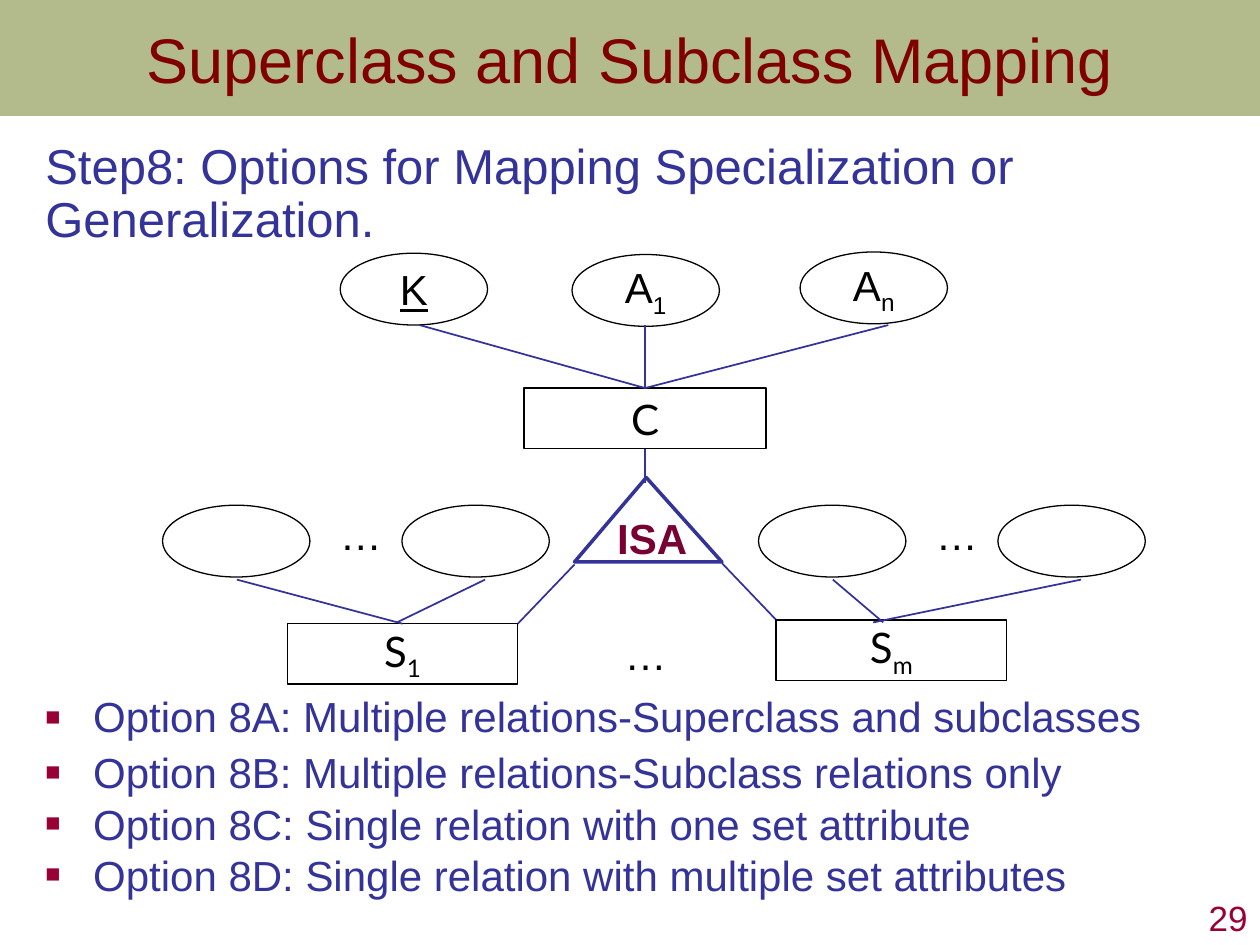
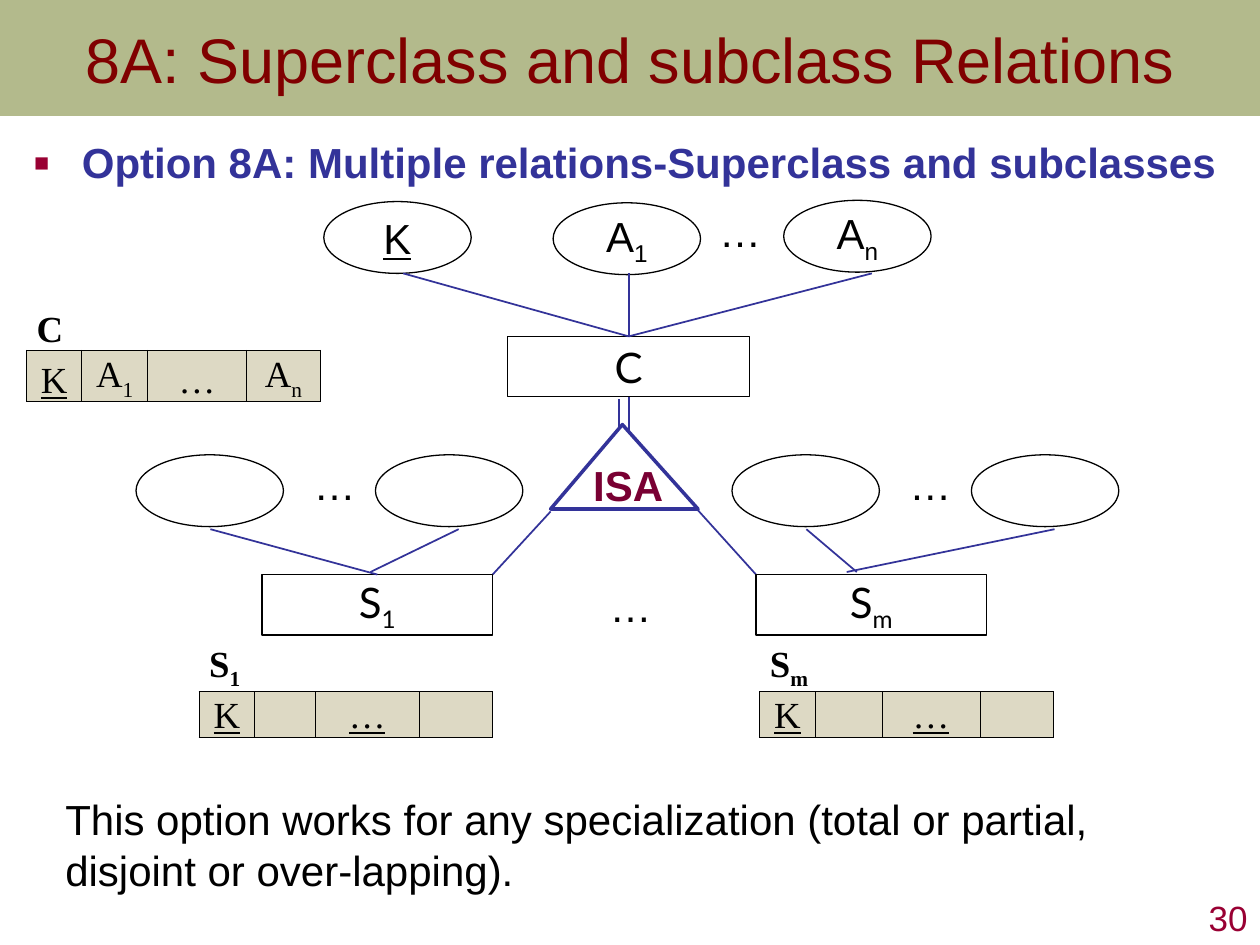
import dataclasses

import lxml.etree
import pptx
import pptx.dml.color
import pptx.enum.shapes
import pptx.enum.text
import pptx.oxml.ns
import pptx.util

Inches = pptx.util.Inches
Pt = pptx.util.Pt
qn = pptx.oxml.ns.qn
Align = pptx.enum.text.PP_ALIGN
Anchor = pptx.enum.text.MSO_ANCHOR
Preset = pptx.enum.shapes.MSO_SHAPE


@dataclasses.dataclass(frozen=True)
class Theme:
    band: str = "76822E"
    band_alpha: int = 55
    title: str = "800000"
    body: str = "333399"
    accent: str = "990033"
    isa: str = "790033"
    ink: str = "000000"
    header_fill: str = "FFFFFF"
    cell_fill: str = "DDD9C4"
    font: str = "Arial"
    box_font: str = "Lato"
    table_font: str = "Times New Roman"
    title_size: int = 36
    lead_size: int = 28
    text_size: int = 24
    table_size: int = 21
    number_size: int = 20


@dataclasses.dataclass(frozen=True)
class DiagramLayout:
    """Left and top of each part of the class hierarchy."""
    superclass: tuple
    middle_attribute: float
    isa: tuple
    first_subclass: tuple
    first_attributes: tuple
    last_subclass: tuple
    last_attributes: tuple
    subclass_dots: tuple


THEME = Theme()
OVAL = (1.17, 0.57)
BOX_HEIGHT = 0.48
SUPERCLASS_WIDTH = 1.92
SUBCLASS_WIDTH = 1.83

OPTIONS_DIAGRAM = DiagramLayout(
    superclass=(4.16, 3.08), middle_attribute=4.54, isa=(4.56, 3.79),
    first_subclass=(2.28, 4.95), first_attributes=(1.29, 4.01),
    last_subclass=(6.16, 4.92), last_attributes=(6.02, 4.01),
    subclass_dots=(4.86, 4.94))
RELATIONS_DIAGRAM = DiagramLayout(
    superclass=(4.03, 2.67), middle_attribute=4.39, isa=(4.37, 3.37),
    first_subclass=(2.08, 4.56), first_attributes=(1.08, 3.61),
    last_subclass=(6, 4.56), last_attributes=(5.81, 3.61),
    subclass_dots=(4.74, 4.56))


def rgb(value):
    return pptx.dml.color.RGBColor.from_string(value)


def place(shape, left, top, width, height):
    shape.left, shape.top = Inches(left), Inches(top)
    shape.width, shape.height = Inches(width), Inches(height)


def write(paragraph, label, size=THEME.text_size, color=THEME.ink, font=THEME.font,
          bold=False, underline=False, align=Align.LEFT):
    """Write a label; what follows an underscore becomes a subscript."""
    base, _, subscript = label.partition("_")
    paragraph.text = base
    paragraph.alignment = align
    if subscript:
        run = paragraph.add_run()
        run.text = subscript
        run.font._element.set("baseline", "-25000")
    for run in paragraph.runs:
        run.font.size, run.font.name = Pt(size), font
        run.font.bold, run.font.underline = bold, underline
        run.font.color.rgb = rgb(color)


def add_text(slide, box, label, wrap=False, **style):
    text_box = slide.shapes.add_textbox(*map(Inches, box))
    text_box.text_frame.word_wrap = wrap
    write(text_box.text_frame.paragraphs[0], label, **style)
    return text_box


def add_dots(slide, left, top):
    add_text(slide, (left, top, 0.54, 0.5), "…")


def outline(shape, color, width):
    shape.shadow.inherit = False
    shape.fill.background()
    shape.line.color.rgb = rgb(color)
    shape.line.width = Pt(width)


def add_node(slide, preset, box, label="", **style):
    node = slide.shapes.add_shape(preset, *map(Inches, box))
    outline(node, THEME.ink, 0.75)
    if label:
        frame = node.text_frame
        frame.word_wrap = False
        frame.vertical_anchor = Anchor.MIDDLE
        write(frame.paragraphs[0], label, align=Align.CENTER, **style)
    return node


def add_line(slide, start, end, end_joint=None):
    """Draw a line; end_joint is a (shape, side) pair to attach to."""
    line = slide.shapes.add_connector(
        pptx.enum.shapes.MSO_CONNECTOR.STRAIGHT, *map(Inches, start + end))
    line.line.color.rgb = rgb(THEME.body)
    line.line.width = Pt(1)
    lxml.etree.SubElement(line._element.spPr, qn("a:effectLst"))
    if end_joint:
        line.end_connect(*end_joint)


def set_bullet(paragraph, bulleted):
    properties = paragraph._p.get_or_add_pPr()
    hang = Inches(0.38) if bulleted else 0
    properties.set("marL", str(hang))
    properties.set("indent", str(-hang))
    if not bulleted:
        lxml.etree.SubElement(properties, qn("a:buNone"))
        return
    color = lxml.etree.SubElement(properties, qn("a:buClr"))
    lxml.etree.SubElement(color, qn("a:srgbClr"), val=THEME.accent)
    lxml.etree.SubElement(properties, qn("a:buSzPct"), val="60000")
    lxml.etree.SubElement(properties, qn("a:buFont"), typeface=THEME.font)
    lxml.etree.SubElement(properties, qn("a:buChar"), char="■")


def add_base_slide(presentation, title, number):
    """Add a slide with the title band and the page number."""
    slide = presentation.slides.add_slide(presentation.slide_layouts[1])
    band = slide.shapes.title
    place(band, 0, 0, 10, 0.92)
    band.fill.solid()
    band.fill.fore_color.rgb = rgb(THEME.band)
    color = band._element.spPr.find(".//" + qn("a:srgbClr"))
    lxml.etree.SubElement(color, qn("a:alpha"), val=str(THEME.band_alpha * 1000))
    band.text_frame.auto_size = pptx.enum.text.MSO_AUTO_SIZE.NONE
    band.text_frame.vertical_anchor = Anchor.MIDDLE
    write(band.text_frame.paragraphs[0], title, size=THEME.title_size,
          color=THEME.title, align=Align.CENTER)
    footer = add_text(slide, (7.92, 7, 2.08, 0.5), str(number), wrap=True,
                      size=THEME.number_size, color=THEME.accent, align=Align.RIGHT)
    footer.text_frame.vertical_anchor = Anchor.BOTTOM
    return slide


def fill_body(slide, box, items):
    """Items are (text, bulleted, line spacing, space before, style)."""
    body = slide.placeholders[1]
    place(body, *box)
    frame = body.text_frame
    frame.auto_size = pptx.enum.text.MSO_AUTO_SIZE.NONE
    frame.margin_right = 0
    frame.text = "\n".join(item[0] for item in items)
    for paragraph, (text, bulleted, spacing, before, style) in zip(frame.paragraphs, items):
        write(paragraph, text, color=THEME.body, **style)
        paragraph.line_spacing = spacing
        paragraph.space_before = Pt(before)
        set_bullet(paragraph, bulleted)


def add_superclass(slide, left, top, middle_attribute):
    box = add_node(slide, Preset.RECTANGLE, (left, top, SUPERCLASS_WIDTH, BOX_HEIGHT),
                   "C", font=THEME.box_font)
    center = left + SUPERCLASS_WIDTH / 2
    attributes = (("K", left - 1.46, top - 1.07, left - 0.83),
                  ("A_1", middle_attribute, top - 1.06, center),
                  ("A_n", left + 2.19, top - 1.08, left + 2.89))
    for label, oval_left, oval_top, line_left in attributes:
        add_node(slide, Preset.OVAL, (oval_left, oval_top, *OVAL), label,
                 underline=label == "K")
        add_line(slide, (line_left, top - 0.5), (center, top), (box, 0))
    return box


def add_isa(slide, left, top, superclass, first_corner, last_corner):
    """Draw the triangle and join it to the superclass and both subclasses."""
    builder = slide.shapes.build_freeform(Inches(left + 0.57), Inches(top))
    builder.add_line_segments([(Inches(left + x), Inches(top + 0.67)) for x in (1.17, 0)])
    outline(builder.convert_to_shape(), THEME.body, 2)
    add_text(slide, (left + 0.24, top + 0.23, 0.76, 0.5), "ISA", color=THEME.isa, bold=True)
    add_line(slide, (left, top + 0.69), first_corner)
    add_line(slide, (left + 1.17, top + 0.68), last_corner)
    center = (superclass.left + superclass.width / 2) / Inches(1)
    add_line(slide, (center, top + 0.04), (center, top), (superclass, 2))


def add_subclass(slide, label, box_corner, attributes, line_ends):
    """Draw a subclass and its attributes; an end of None is the box's top middle."""
    left, top = attributes
    box = add_node(slide, Preset.RECTANGLE, (*box_corner, SUBCLASS_WIDTH, BOX_HEIGHT),
                   label, font=THEME.box_font)
    for oval_shift, line_shift, end in zip((0, 1.9), (0.59, 2.56), line_ends):
        add_node(slide, Preset.OVAL, (left + oval_shift, top, *OVAL))
        add_line(slide, (left + line_shift, top + 0.59),
                 (left + (end or 0), top + 0.93), None if end else (box, 0))
    add_dots(slide, left + 1.31, top - 0.02)


def add_diagram(slide, layout):
    superclass = add_superclass(slide, *layout.superclass, layout.middle_attribute)
    first_left, first_top = layout.first_subclass
    add_isa(slide, *layout.isa, superclass,
            (first_left + SUBCLASS_WIDTH, first_top), layout.last_subclass)
    add_subclass(slide, "S_1", layout.first_subclass, layout.first_attributes, (None, 1.86))
    add_subclass(slide, "S_m", layout.last_subclass, layout.last_attributes, (0.99, 0.91))
    add_dots(slide, *layout.subclass_dots)


def set_borders(cell, sides):
    properties = cell._tc.get_or_add_tcPr()
    for index, side in enumerate(sides):
        border = lxml.etree.Element(qn("a:ln" + side), w=str(Pt(0.5)))
        fill = lxml.etree.SubElement(border, qn("a:solidFill"))
        lxml.etree.SubElement(fill, qn("a:srgbClr"), val=THEME.ink)
        properties.insert(index, border)


def add_relation(slide, left, top, name, columns, widths, underlined):
    """Draw a relation: its name above one row of columns."""
    row_height = 0.36
    table = slide.shapes.add_table(2, len(widths), Inches(left), Inches(top),
                                   Inches(sum(widths)), Inches(2 * row_height)).table
    table.first_row = table.horz_banding = False
    for column, width in zip(table.columns, widths):
        column.width = Inches(width)
    for row_index, labels in enumerate(((name, "", "", ""), columns)):
        table.rows[row_index].height = Inches(row_height)
        header = row_index == 0
        for cell, label in zip(table.rows[row_index].cells, labels):
            cell.vertical_anchor = Anchor.BOTTOM
            cell.margin_left = Inches(0.08 if header else 0.01)
            cell.margin_right = cell.margin_top = Inches(0.01)
            cell.margin_bottom = 0
            cell.fill.solid()
            cell.fill.fore_color.rgb = rgb(THEME.header_fill if header else THEME.cell_fill)
            set_borders(cell, "B" if header else "LRTB")
            if label:
                write(cell.text_frame.paragraphs[0], label, size=THEME.table_size,
                      font=THEME.table_font, bold=header, underline=label in underlined,
                      align=Align.LEFT if header else Align.CENTER)
    table.cell(0, 0).merge(table.cell(0, 2))


def build_options_slide(presentation):
    slide = add_base_slide(presentation, "Superclass and Subclass Mapping", 29)
    fill_body(slide, (0.26, 1.08, 9.49, 6), (
        ("Step8: Options for Mapping Specialization or Generalization.",
         False, 0.9, 0, {"size": THEME.lead_size}),
        ("Option 8A: Multiple relations-Superclass and subclasses", True, 0.9, 256, {}),
        ("Option 8B: Multiple relations-Subclass relations only", True, 0.9, 6, {}),
        ("Option 8C: Single relation with one set attribute", True, 0.8, 6, {}),
        ("Option 8D: Single relation with multiple set attributes", True, 0.8, 6, {})))
    add_diagram(slide, OPTIONS_DIAGRAM)


def build_relations_slide(presentation):
    slide = add_base_slide(presentation, "8A: Superclass and subclass Relations", 30)
    fill_body(slide, (0.17, 1.08, 9.49, 0.4), (
        ("Option 8A: Multiple relations-Superclass and subclasses",
         True, 0.9, 0, {"bold": True}),))
    add_diagram(slide, RELATIONS_DIAGRAM)
    add_dots(slide, 5.61, 1.58)
    add_line(slide, (4.91, 3.39), (4.91, 3.17))
    add_relation(slide, 0.21, 2.42, "C", ("K", "A_1", "…", "A_n"),
                 (0.44, 0.52, 0.79, 0.58), "K")
    subclass_columns = ("K", "", "…", "")
    add_relation(slide, 1.58, 5.08, "S_1", subclass_columns, (0.44, 0.48, 0.83, 0.58), "K…")
    add_relation(slide, 6.03, 5.08, "S_m", subclass_columns, (0.44, 0.53, 0.78, 0.58), "K…")
    add_text(slide, (0.42, 6.25, 9.23, 0.91), "This option works for any specialization "
             "(total or partial, disjoint or over-lapping).", wrap=True)


def main():
    presentation = pptx.Presentation()
    presentation.slide_width, presentation.slide_height = Inches(10), Inches(7.5)
    build_options_slide(presentation)
    build_relations_slide(presentation)
    presentation.save("out.pptx")


if __name__ == "__main__":
    main()
